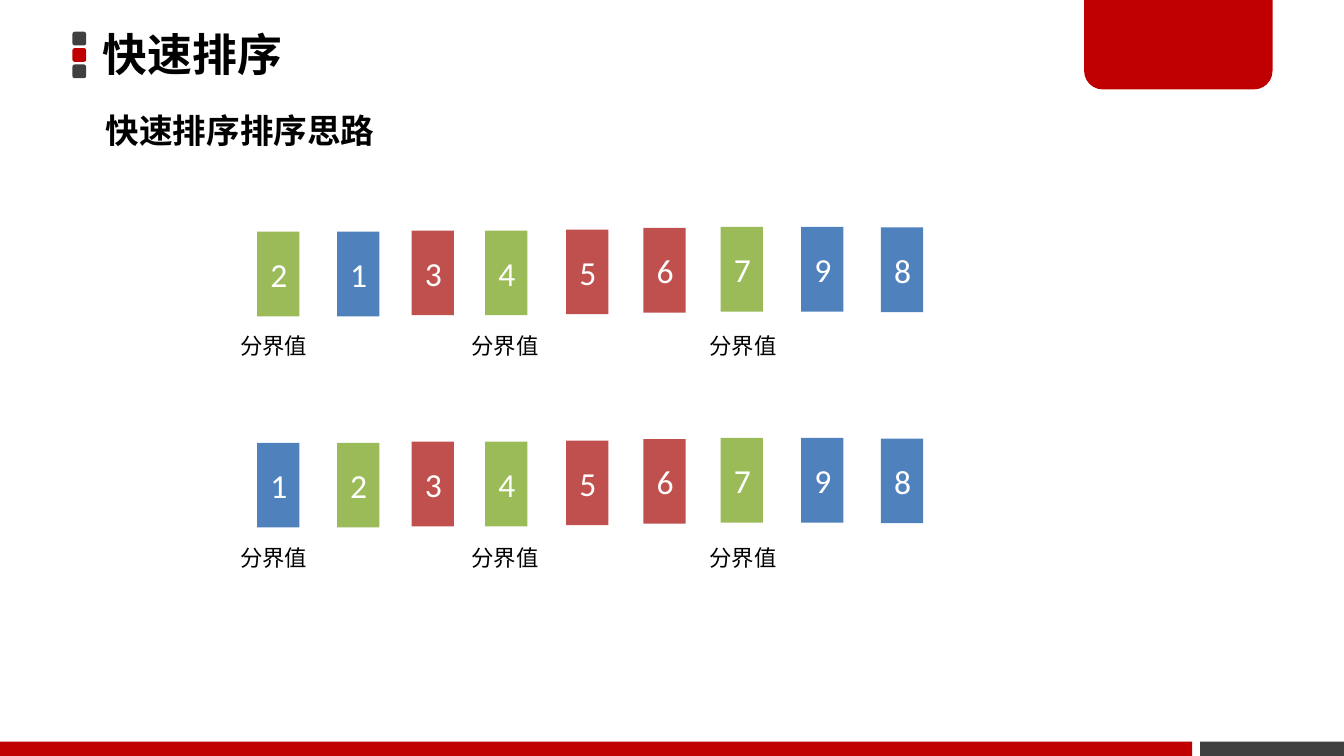
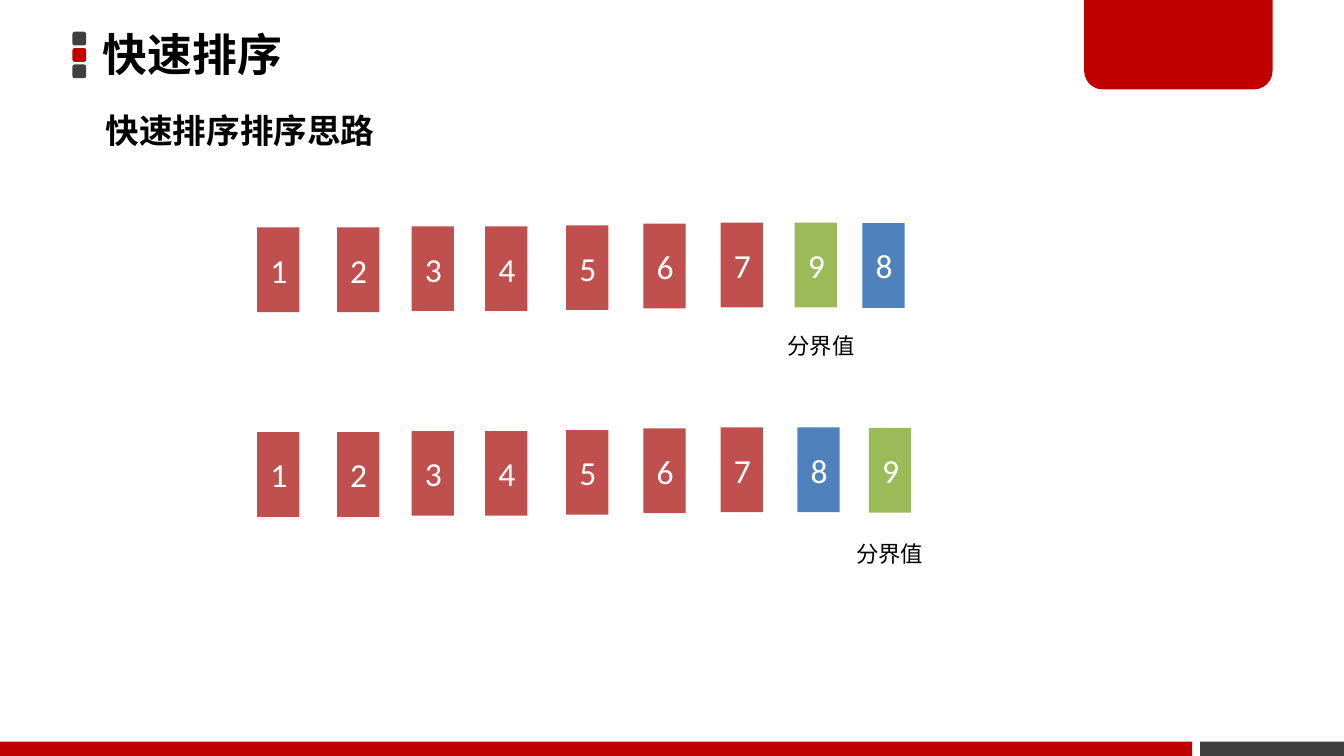
"""Builds the two quicksort slides with their rows of coloured cells."""
from dataclasses import dataclass
from typing import Any

from lxml import etree
from pptx import Presentation
from pptx.dml.color import RGBColor
from pptx.enum import shapes, text
from pptx.oxml import ns
from pptx.util import Cm, Pt

RED = RGBColor(0xC0, 0x00, 0x00)
GREY = RGBColor(0x40, 0x40, 0x40)
BLACK = RGBColor(0x00, 0x00, 0x00)
WHITE = RGBColor(0xFF, 0xFF, 0xFF)
DONE = RGBColor(0xC0, 0x50, 0x4D)
OPEN = RGBColor(0x4F, 0x81, 0xBD)
PIVOT = RGBColor(0x9B, 0xBB, 0x59)
HUES = {"d": DONE, "o": OPEN, "p": PIVOT}

HAN = "Noto Sans CJK SC"
LATIN = "Calibri"
WIDE, HIGH = 25.4, 14.29
CELL = (0.8, 1.6)
LEFTS = (4.86, 6.37, 7.78, 9.17, 10.7, 12.16, 13.62, 15.14, 16.65)
LIFTS = (0, 0, 0.02, 0.02, 0.04, 0.07, 0.09, 0.09, 0.08)

TITLE = dict(size=Pt(24), name=HAN, bold=True)
HEAD = dict(size=Pt(18), name=HAN, bold=True)
NOTE = dict(size=Pt(12), name=HAN)
DIGIT = dict(size=Pt(18), name=LATIN)
GROW = dict(word_wrap=False, auto_size=text.MSO_AUTO_SIZE.SHAPE_TO_FIT_TEXT)
FIXED = dict(word_wrap=True, vertical_anchor=text.MSO_ANCHOR.MIDDLE,
             margin_left=Cm(0.19), margin_right=Cm(0.19),
             margin_top=Cm(0.1), margin_bottom=Cm(0.1))
MID = dict(vertical_anchor=text.MSO_ANCHOR.MIDDLE)

KIND = shapes.MSO_SHAPE


@dataclass(frozen=True)
class Box:
    """A place on the slide in centimetres."""
    left: float
    top: float
    width: float
    height: float

    def emu(self) -> tuple[Cm, Cm, Cm, Cm]:
        """Gives the place as lengths."""
        return Cm(self.left), Cm(self.top), Cm(self.width), Cm(self.height)


@dataclass(frozen=True)
class Row:
    """One state of the array, with its pivot labels and last two lefts."""
    top: float
    nums: str
    hues: str
    note: float
    marks: tuple[float, ...]
    tail: tuple[float, ...] = LEFTS[-2:]


@dataclass(frozen=True)
class Part:
    """One piece of the slide frame."""
    box: Box
    hue: RGBColor
    kind: Any = KIND.RECTANGLE
    bends: tuple[float, ...] = ()


FRAME = [Part(Box(1.37, 0.6 + 0.31 * i, 0.26, 0.26), hue,
              KIND.ROUNDED_RECTANGLE, (0.17,))
         for i, hue in enumerate((GREY, RED, GREY))] + [
    Part(Box(22.68, 14.02, 2.72, 0.27), GREY),
    Part(Box(20.49, -0.05, 3.56, 1.74), RED,
         KIND.ROUND_2_SAME_RECTANGLE, (0, 0.2)),
    Part(Box(0, 14.02, 22.53, 0.27), RED),
]

SLIDES = (
    (Row(4.38, "213456798", "poddp".replace("ddp", "dpd") + "dpoo",
         6.16, (4.29, 8.66, 13.16)),
     Row(8.37, "123456798", "opdpddpoo", 10.16, (4.29, 8.66, 13.16))),
    (Row(4.3, "123456798", "dddddddpo", 6.15, (14.63,), (15.02, 16.3)),
     Row(8.17, "123456789", "dddddddop", 10.08, (15.93,), (15.07, 16.42))),
)


def apply(item: Any, style: dict[str, Any]) -> None:
    """Sets each named attribute on the item."""
    for key, value in style.items():
        setattr(item, key, value)


def write(shape: Any, words: str, font: dict[str, Any], hue: RGBColor,
          frame: dict[str, Any]) -> Any:
    """Puts one styled run in the shape and returns its paragraph."""
    apply(shape.text_frame, frame)
    para = shape.text_frame.paragraphs[0]
    run = para.add_run()
    run.text = words
    apply(run.font, font)
    run.font.color.rgb = hue
    props = run.font._element
    etree.SubElement(props, ns.qn("a:ea"), typeface=font["name"])
    return para


def label(slide: Any, box: Box, words: str, font: dict[str, Any],
          frame: dict[str, Any]) -> Any:
    """Adds a text box in black and returns its paragraph."""
    return write(slide.shapes.add_textbox(*box.emu()), words, font, BLACK, frame)


def block(slide: Any, part: Part) -> Any:
    """Adds a plain filled shape."""
    shape = slide.shapes.add_shape(part.kind, *part.box.emu())
    shape.shadow.inherit = False
    shape.fill.solid()
    shape.fill.fore_color.rgb = part.hue
    shape.line.fill.background()
    for i, bend in enumerate(part.bends):
        shape.adjustments[i] = bend
    return shape


def base(slide: Any) -> None:
    """Draws the frame, title and heading."""
    for part in FRAME:
        block(slide, part)
    para = label(slide, Box(1.75, -0.05, 14.96, 2.26), "快速排序", TITLE, FIXED)
    para.line_spacing = 0.9
    label(slide, Box(1.75, 1.95, 5.66, 1.02), "快速排序排序思路", HEAD, GROW)


def draw(slide: Any, row: Row) -> None:
    """Draws the cells of a row and its pivot labels."""
    lefts = LEFTS[:-2] + row.tail
    for num, hue, left, lift in zip(row.nums, row.hues, lefts, LIFTS):
        box = Box(left, row.top - lift, *CELL)
        cell = block(slide, Part(box, HUES[hue]))
        para = write(cell, num, DIGIT, WHITE, MID)
        para.alignment = text.PP_ALIGN.CENTER
    for left in row.marks:
        label(slide, Box(left, row.note, 1.8, 0.77), "分界值", NOTE, GROW)


def main() -> None:
    """Builds and saves the deck."""
    deck = Presentation()
    apply(deck, dict(slide_width=Cm(WIDE), slide_height=Cm(HIGH)))
    for rows in SLIDES:
        slide = deck.slides.add_slide(deck.slide_layouts[6])
        base(slide)
        for row in rows:
            draw(slide, row)
    deck.save("out.pptx")


if __name__ == "__main__":
    main()
